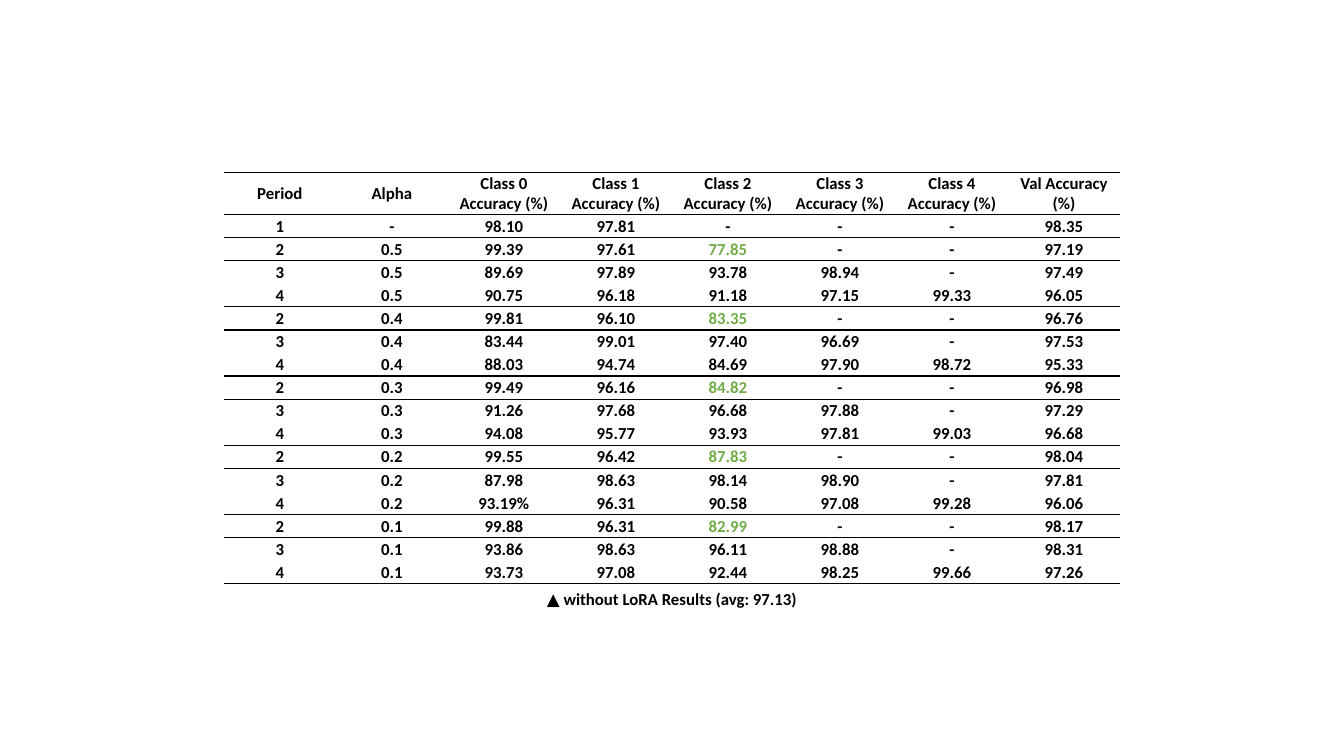
from dataclasses import dataclass

from lxml.etree import SubElement as Sub
from pptx import Presentation as Deck
from pptx.dml.color import RGBColor as Color
from pptx.enum.text import MSO_ANCHOR as Anchor, MSO_AUTO_SIZE as Fit, PP_ALIGN as Align
from pptx.oxml.ns import qn
from pptx.util import Inches, Pt

HUES: dict[str, str] = {"ink": "000000", "mark": "70AD47"}
HEAD = ["Period", "Alpha", *(f"Class {n} Accuracy (%)" for n in range(5)), "Val Accuracy\n(%)"]
LEFT, TOP, WIDTH, HEIGHT, HEAD_HIGH = 2.22, 1.71, 8.89, 4.08, 0.42
MARK_COL = 4


@dataclass
class Trial:
    period: str
    alpha: str
    scores: str
    total: str

    def texts(self) -> list[str]:
        scores = self.scores.split()
        return [self.period, self.alpha, *scores, *["-"] * (5 - len(scores)), self.total]


TRIALS = [
    Trial("1", "-", "98.10 97.81", "98.35"),
    Trial("2", "0.5", "99.39 97.61 77.85", "97.19"),
    Trial("3", "0.5", "89.69 97.89 93.78 98.94", "97.49"),
    Trial("4", "0.5", "90.75 96.18 91.18 97.15 99.33", "96.05"),
    Trial("2", "0.4", "99.81 96.10 83.35", "96.76"),
    Trial("3", "0.4", "83.44 99.01 97.40 96.69", "97.53"),
    Trial("4", "0.4", "88.03 94.74 84.69 97.90 98.72", "95.33"),
    Trial("2", "0.3", "99.49 96.16 84.82", "96.98"),
    Trial("3", "0.3", "91.26 97.68 96.68 97.88", "97.29"),
    Trial("4", "0.3", "94.08 95.77 93.93 97.81 99.03", "96.68"),
    Trial("2", "0.2", "99.55 96.42 87.83", "98.04"),
    Trial("3", "0.2", "87.98 98.63 98.14 98.90", "97.81"),
    Trial("4", "0.2", "93.19% 96.31 90.58 97.08 99.28", "96.06"),
    Trial("2", "0.1", "99.88 96.31 82.99", "98.17"),
    Trial("3", "0.1", "93.86 98.63 96.11 98.88", "98.31"),
    Trial("4", "0.1", "93.73 97.08 92.44 98.25 99.66", "97.26"),
]


def style(run, hue: str = "ink", face: str = "Calibri") -> None:
    run.font.name = face
    run.font.size = Pt(12)
    run.font.bold = True
    run.font.color.rgb = Color.from_string(HUES[hue])


def rule(cell, above: bool, below: bool) -> None:
    props = cell._tc.get_or_add_tcPr()
    for side, shown in (("L", False), ("R", False), ("T", above), ("B", below)):
        line = Sub(props, qn(f"a:ln{side}"), w=str(Pt(1)))
        if shown:
            Sub(Sub(line, qn("a:solidFill")), qn("a:srgbClr"), val=HUES["ink"])
        else:
            Sub(line, qn("a:noFill"))
    cell.fill.background()


def fill_cell(cell, text: str, hue: str) -> None:
    cell.vertical_anchor = Anchor.MIDDLE
    cell.margin_left = cell.margin_right = cell.margin_top = Inches(0.01)
    cell.margin_bottom = 0
    cell.text_frame.text = text
    for para in cell.text_frame.paragraphs:
        para.alignment = Align.CENTER
        for run in para.runs:
            style(run, hue)


def draw_table(slide) -> None:
    grid = [HEAD, *(trial.texts() for trial in TRIALS)]
    lines = [True, True, *(trial.period != "3" for trial in TRIALS)]
    table = slide.shapes.add_table(
        len(grid), len(HEAD), Inches(LEFT), Inches(TOP), Inches(WIDTH), Inches(HEIGHT)
    ).table
    table.first_row = table.horz_banding = False
    for i, texts in enumerate(grid):
        table.rows[i].height = Inches((HEIGHT - HEAD_HIGH) / len(TRIALS) if i else HEAD_HIGH)
        for j, text in enumerate(texts):
            cell = table.cell(i, j)
            marked = j == MARK_COL and texts[0] == "2"
            fill_cell(cell, text, "mark" if marked else "ink")
            rule(cell, lines[i], lines[i + 1])


def draw_note(slide) -> None:
    frame = slide.shapes.add_textbox(
        Inches(3.33), Inches(TOP + HEIGHT), Inches(6.67), Inches(0.3)
    ).text_frame
    frame.word_wrap = True
    frame.auto_size = Fit.SHAPE_TO_FIT_TEXT
    para = frame.paragraphs[0]
    para.alignment = Align.CENTER
    for text, face in (("▲", "Lato"), (" without LoRA Results (avg: 97.13)", "Calibri")):
        run = para.add_run()
        run.text = text
        style(run, face=face)


def main() -> None:
    deck = Presentation = Deck()
    deck.slide_width, deck.slide_height = Inches(13.33), Inches(7.5)
    slide = deck.slides.add_slide(deck.slide_layouts[6])
    draw_table(slide)
    draw_note(slide)
    deck.save("out.pptx")


if __name__ == "__main__":
    main()
